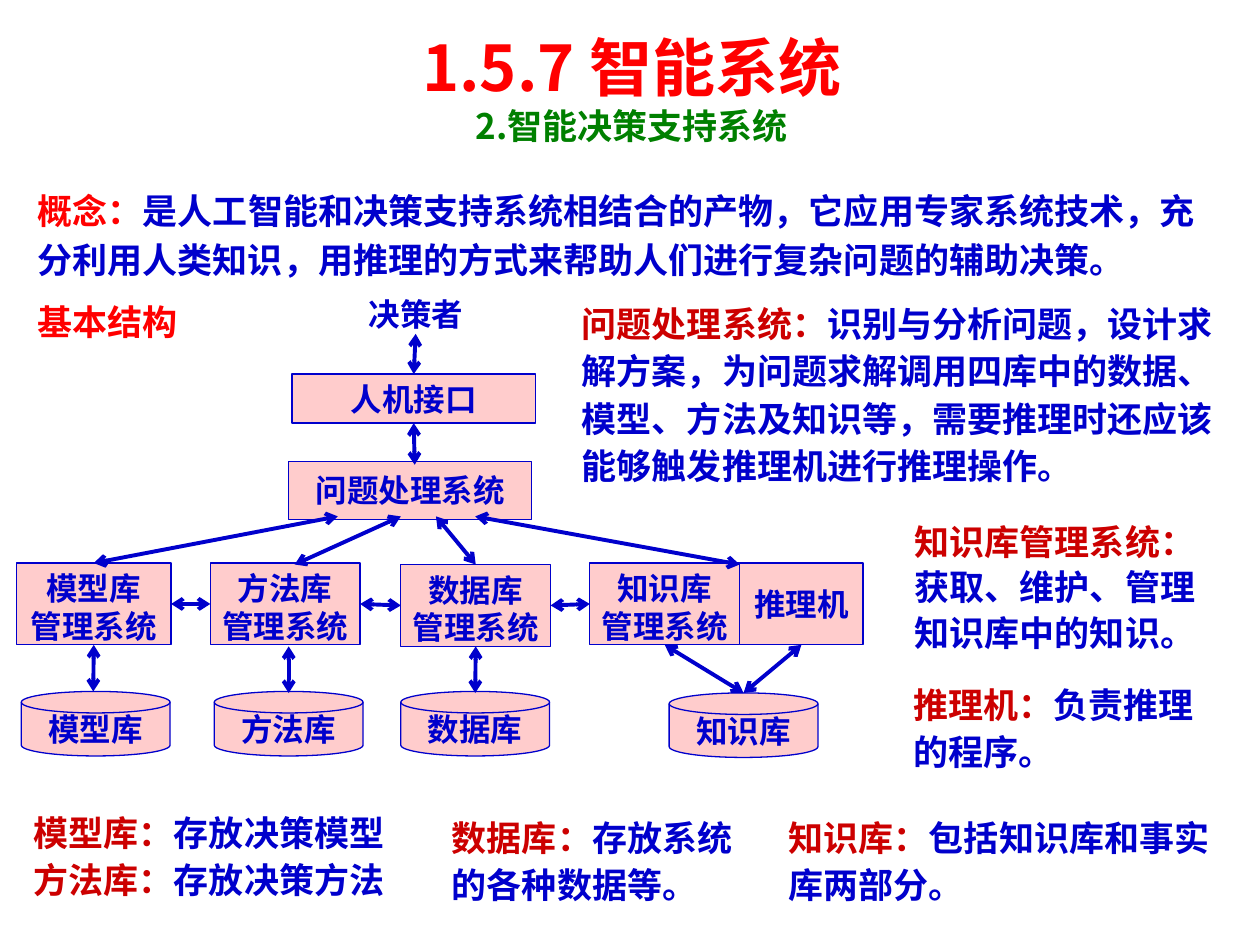
from lxml import etree
from pptx import Presentation
from pptx.dml.color import RGBColor
from pptx.enum.shapes import MSO_CONNECTOR, MSO_SHAPE
from pptx.enum.text import MSO_ANCHOR, MSO_AUTO_SIZE, PP_ALIGN
from pptx.oxml.ns import qn
from pptx.util import Cm, Pt

RECT, DISK = MSO_SHAPE.RECTANGLE, MSO_SHAPE.FLOWCHART_MAGNETIC_DISK
STRAIGHT = MSO_CONNECTOR.STRAIGHT
LEFT, CENTER = PP_ALIGN.LEFT, PP_ALIGN.CENTER
TOP, MIDDLE = MSO_ANCHOR.TOP, MSO_ANCHOR.MIDDLE
SIDE_TOP, SIDE_LEFT, SIDE_BOTTOM, SIDE_RIGHT = range(4)

SANS, SERIF = "Noto Sans CJK SC", "Times New Roman"
BLUE, RED, DARK_RED, GREEN, PINK = "0000CC", "FF0000", "CC0000", "008000", "FFCCCC"

# Content: all lengths in cm
TITLE = [("1.5.7 智能系统", 36, RED), ("2.智能决策支持系统", 20, GREEN)]
CONCEPT = ("概念：", "是人工智能和决策支持系统相结合的产物，它应用专家系统技术，"
           "充分利用人类知识，用推理的方式来帮助人们进行复杂问题的辅助决策。")

# Explanations: left, top, width, height, line pitch, (term, meaning) pairs
NOTES = [
    (11.48, 5.87, 13.41, 3.99, 27,
     [("问题处理系统：", "识别与分析问题，设计求解方案，为问题求解调用四库中的数据、"
       "模型、方法及知识等，需要推理时还应该能够触发推理机进行推理操作。")]),
    (18.19, 10.29, 6.71, 2.92, 26, [("知识库管理系统：", "获取、维护、管理知识库中的知识。")]),
    (18.16, 13.54, 6.71, 2.13, 27, [("推理机：", "负责推理的程序。")]),
    (15.65, 16.23, 9.25, 2.18, 27, [("知识库：", "包括知识库和事实库两部分。")]),
    (8.86, 16.23, 6.76, 2.18, 27, [("数据库：", "存放系统的各种数据等。")]),
    (0.43, 16.13, 7.82, 2.18, 27, [("模型库：", "存放决策模型"), ("方法库：", "存放决策方法")]),
]

# Diagram nodes: name, shape, left, top, width, height, lines, anchor
NODES = [
    ("interface", RECT, 5.89, 7.54, 4.9, 0.99, ["人机接口"], MIDDLE),
    ("problem", RECT, 5.82, 9.3, 4.9, 1.17, ["问题处理系统"], MIDDLE),
    ("inference", RECT, 14.91, 11.35, 2.49, 1.65, ["推理机"], MIDDLE),
]
# Each library: name, label, manager left, top, width, then store left, top
LIBRARIES = [
    ("model", "模型库", 0.33, 11.35, 3.12, 0.43, 13.94),
    ("method", "方法库", 4.24, 11.35, 3.02, 4.32, 13.94),
    ("data", "数据库", 8.08, 11.38, 3.02, 8.08, 13.94),
    ("knowledge", "知识库", 11.89, 11.35, 3.02, 13.49, 13.97),
]
for name, label, left, top, width, store_left, store_top in LIBRARIES:
    NODES.append((name, RECT, left, top, width, 1.65, [label, "管理系统"], TOP))
    NODES.append((name + " store", DISK, store_left, store_top, 3, 1.3, [label], MIDDLE))

# Arrow ends: a point, or a node and one of its sides
ARROWS = [
    ((8.38, 6.73), ("interface", SIDE_TOP)),
    (("interface", SIDE_BOTTOM), (8.36, 9.37)),
    ((6.81, 10.41), ("model", SIDE_TOP)),
    ((8.08, 10.41), (5.94, 11.38)),
    ((8.79, 10.41), ("data", SIDE_TOP)),
    ((9.58, 10.41), (14.91, 11.38)),
    (("model", SIDE_RIGHT), ("method", SIDE_LEFT)),
    (("method", SIDE_RIGHT), ("data", SIDE_LEFT)),
    (("data", SIDE_RIGHT), ("knowledge", SIDE_LEFT)),
    (("model", SIDE_BOTTOM), (1.88, 13.94)),
    ((5.82, 13.03), (5.82, 13.97)),
    (("data", SIDE_BOTTOM), (9.58, 13.97)),
    (("knowledge", SIDE_BOTTOM), (14.99, 13.97)),
    (("inference", SIDE_BOTTOM), (14.99, 13.97)),
]


def color(value):
    return RGBColor.from_string(value)


def write(box, lines, size, align=LEFT, pitch=None):
    """Each line is a list of (text, colour, font) spans."""
    for index, spans in enumerate(lines):
        frame = box.text_frame
        para = frame.add_paragraph() if index else frame.paragraphs[0]
        para.alignment = align
        para.font.size, para.font.bold, para.font.name = Pt(size), True, SANS
        defaults = para._p.find(".//" + qn("a:defRPr"))
        etree.SubElement(defaults, qn("a:ea")).set("typeface", SANS)
        if pitch:
            para.line_spacing = Pt(pitch)
        for text, tint, font in spans:
            span = para.add_run()
            span.text = text
            span.font.color.rgb = color(tint)
            if font != SANS:
                span.font.name = font


def add_text(page, place, lines, size, align=LEFT, pitch=None, wrap=True, grow=True):
    box = page.shapes.add_textbox(*map(Cm, place))
    box.text_frame.word_wrap = wrap
    box.text_frame.auto_size = MSO_AUTO_SIZE.SHAPE_TO_FIT_TEXT if grow else MSO_AUTO_SIZE.NONE
    write(box, lines, size, align, pitch)
    return box


def add_node(page, kind, place, labels, anchor):
    node = page.shapes.add_shape(kind, *map(Cm, place))
    node.shadow.inherit = False
    node.fill.solid()
    node.fill.fore_color.rgb = color(PINK)
    node.line.color.rgb = color(BLUE)
    node.line.width = Pt(0.75)
    node.text_frame.word_wrap = False
    node.text_frame.vertical_anchor = anchor
    write(node, [[(label, BLUE, SANS)] for label in labels], 18, CENTER)
    return node


def add_arrow(page, nodes, start, end):
    arrow = page.shapes.add_connector(STRAIGHT, 0, 0, 0, 0)
    if start[0] in nodes:
        arrow.begin_connect(nodes[start[0]], start[1])
    else:
        arrow.begin_x, arrow.begin_y = map(Cm, start)
    if end[0] in nodes:
        arrow.end_connect(nodes[end[0]], end[1])
    else:
        arrow.end_x, arrow.end_y = map(Cm, end)
    arrow.line.color.rgb = color(BLUE)
    arrow.line.width = Pt(2.25)
    for tag in ("a:headEnd", "a:tailEnd"):
        etree.SubElement(arrow.line._get_or_add_ln(), qn(tag)).set("type", "arrow")
    etree.SubElement(arrow._element.spPr, qn("a:effectLst"))


def main():
    deck = Presentation()
    deck.slide_width, deck.slide_height = Cm(25.4), Cm(19.05)
    page = deck.slides.add_slide(deck.slide_layouts[6])

    # Heading and concept
    heading = add_text(page, (0.53, 0.46, 24.41, 2.64),
                       [[(text, tint, SANS)] for text, size, tint in TITLE], 36, CENTER)
    for para, (text, size, tint) in zip(heading.text_frame.paragraphs, TITLE):
        para.font.size = Pt(size)
    term, meaning = CONCEPT
    add_text(page, (0.51, 3.56, 24.41, 2.26),
             [[(term, RED, SERIF), (meaning, BLUE, SANS)]], 20, pitch=28)

    # Structure diagram
    add_text(page, (0.51, 5.94, 3.38, 1.12), [[("基本结构", RED, SERIF)]], 20, wrap=False)
    add_text(page, (5.94, 5.82, 4.9, 0.89), [[("决策者", BLUE, SANS)]], 18, CENTER,
             wrap=False, grow=False)
    nodes = {name: add_node(page, kind, place, labels, anchor)
             for name, kind, *place, labels, anchor in NODES}
    for start, end in ARROWS:
        add_arrow(page, nodes, start, end)

    # Explanations
    for *place, pitch, entries in NOTES:
        lines = [[(term, DARK_RED, SANS), (meaning, BLUE, SANS)] for term, meaning in entries]
        add_text(page, place, lines, 20, pitch=pitch)

    deck.save("out.pptx")


if __name__ == "__main__":
    main()
